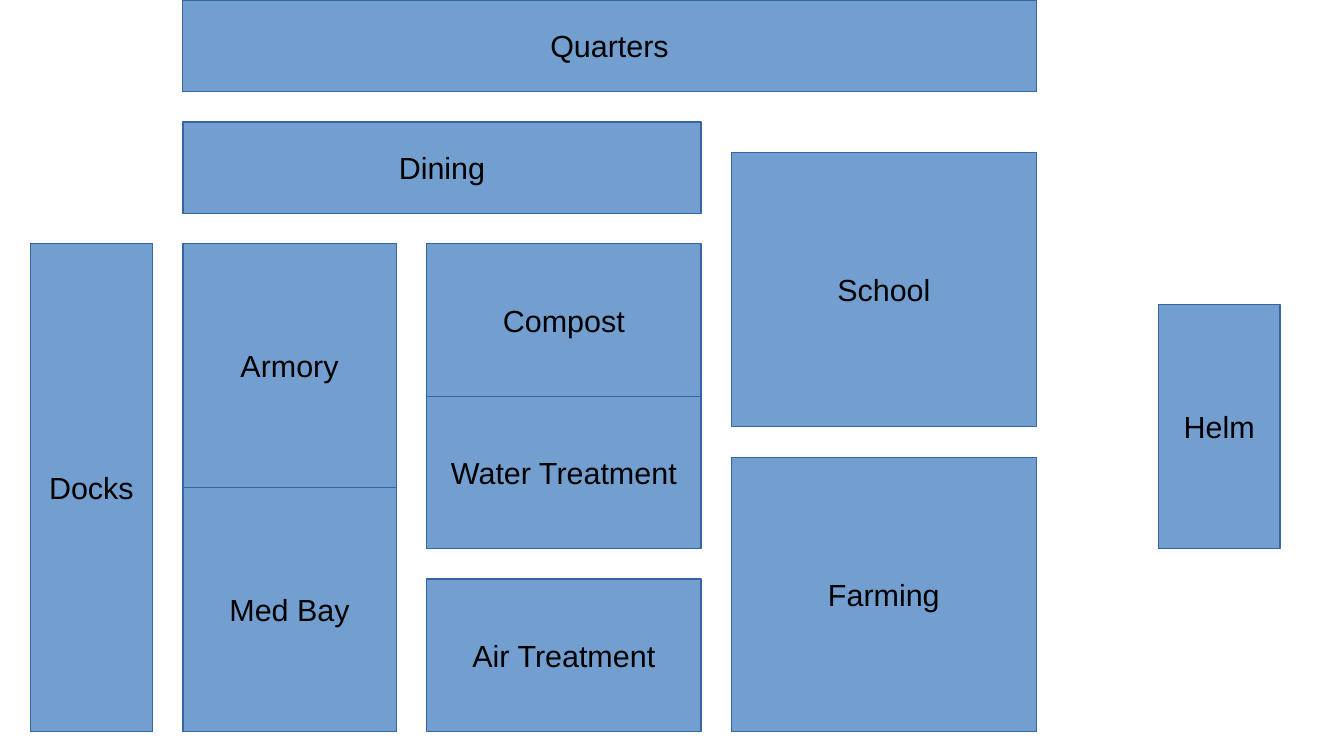
from dataclasses import dataclass

from pptx import Presentation
from pptx.dml.color import RGBColor
from pptx.enum import shapes, text
from pptx.util import Pt

ROOMS = [
    ("Helm", 38, 10, 4, 8),
    ("Docks", 1, 8, 4, 16),
    ("Armory", 6, 8, 7, 8),
    ("School", 24, 5, 10, 9),
    ("Compost", 14, 8, 9, 5),
    ("Farming", 24, 15, 10, 9),
    ("Med Bay", 6, 16, 7, 8),
    ("Air Treatment", 14, 19, 9, 5),
    ("Water Treatment", 14, 13, 9, 5),
    ("Quarters", 6, 0, 28, 3),
    ("Dining", 6, 4, 17, 3),
]
GRID = 18
BLANK_LAYOUT = 6


@dataclass(frozen=True)
class Theme:
    fill: RGBColor = RGBColor(0x72, 0x9F, 0xCF)
    outline: RGBColor = RGBColor(0x34, 0x65, 0xA4)
    ink: RGBColor = RGBColor(0, 0, 0)
    font: str = "Arial"
    size: int = 18


THEME = Theme()


def add_room(page, name, *cells):
    bounds = [Pt(cell * GRID) for cell in cells]
    room = page.shapes.add_shape(shapes.MSO_SHAPE.RECTANGLE, *bounds)
    room.shadow.inherit = False
    room.fill.solid()
    room.fill.fore_color.rgb = THEME.fill
    room.line.color.rgb = THEME.outline
    room.line.width = Pt(0)

    frame = room.text_frame
    frame.word_wrap = False
    frame.vertical_anchor = text.MSO_ANCHOR.MIDDLE
    para = frame.paragraphs[0]
    para.text = name
    para.alignment = text.PP_ALIGN.CENTER
    para.font.name = THEME.font
    para.font.size = Pt(THEME.size)
    para.font.color.rgb = THEME.ink


def main():
    deck = Presentation()
    deck.slide_width, deck.slide_height = Pt(793.7), Pt(446.46)
    page = deck.slides.add_slide(deck.slide_layouts[BLANK_LAYOUT])
    for room in ROOMS:
        add_room(page, *room)
    deck.save("out.pptx")


if __name__ == "__main__":
    main()
